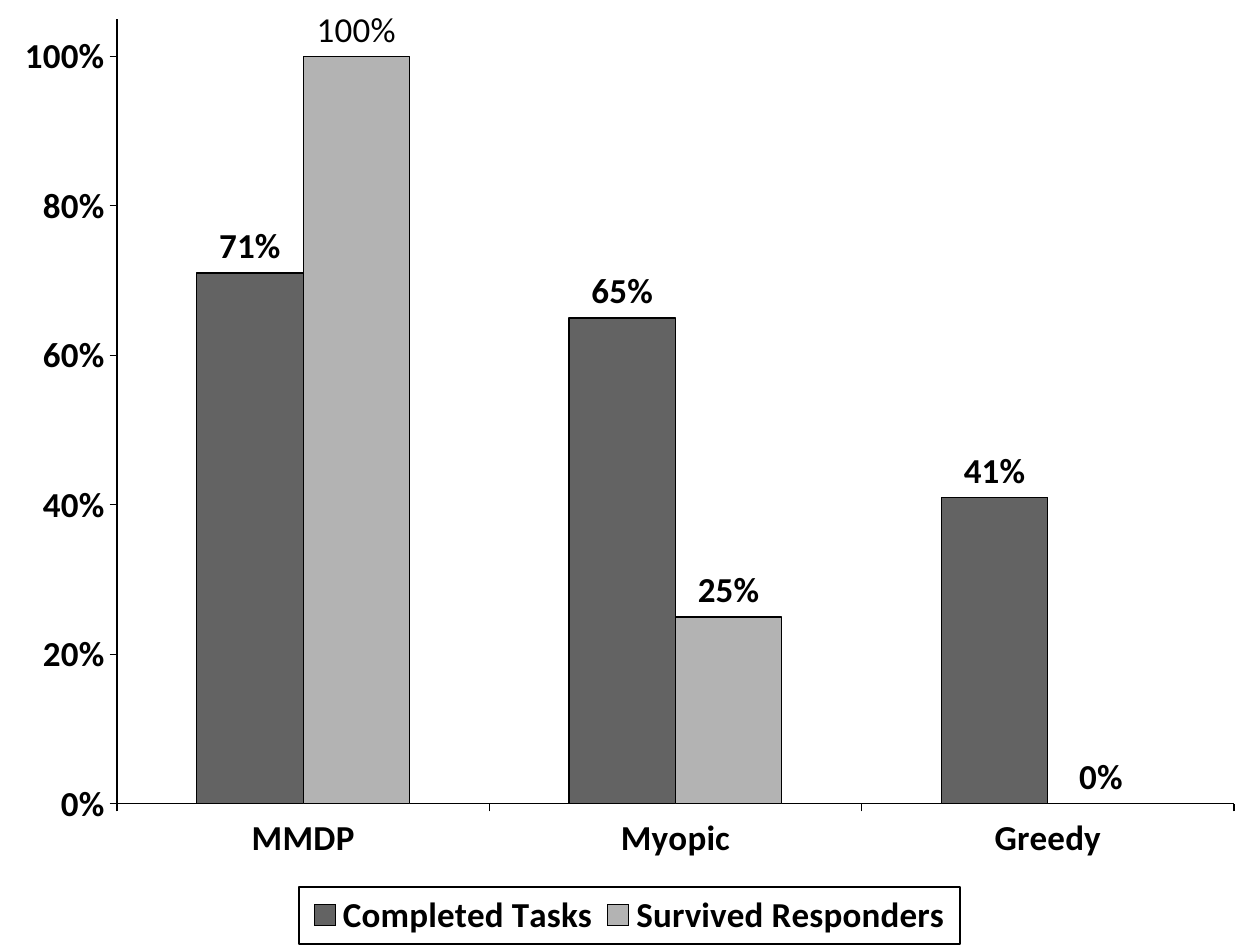
from lxml.etree import SubElement
from pptx import Presentation
from pptx.chart.data import CategoryChartData
from pptx.dml.color import RGBColor
from pptx.enum.chart import (XL_CHART_TYPE, XL_LABEL_POSITION,
                             XL_LEGEND_POSITION, XL_TICK_MARK)
from pptx.oxml.ns import qn
from pptx.util import Pt

# Content
CATEGORIES = ["MMDP", "Myopic", "Greedy"]
SERIES = [("Completed Tasks", (0.71, 0.65, 0.41)),
          ("Survived Responders", (1, 0.25, 0))]
PLAIN_LABEL = (1, 0, "100%")  # series, point, text

# Layout in pixels
PX = 914400 // 126
WIDTH, HEIGHT = 1260, 945
PLOT = (117, 19, 1117, 785)
LEGEND = (299, 887, 661, 57)

THEME = {
    "font": "Calibri", "size": Pt(20), "line_width": Pt(0.75),
    "ink": RGBColor.from_string("000000"),
    "bars": [RGBColor.from_string(c) for c in ("636363", "B3B3B3")],
}


def style_font(font, bold=True):
    font.name, font.size, font.bold = THEME["font"], THEME["size"], bold
    font.color.rgb = THEME["ink"]


def style_line(line):
    line.color.rgb, line.width = THEME["ink"], THEME["line_width"]


def place(parent, index, box, inner=False):
    """Give a chart part a fixed place, as fractions of the chart."""
    for old in parent.findall(qn("c:layout")):
        parent.remove(old)
    layout = SubElement(parent, qn("c:layout"))
    parent.insert(index, layout)
    manual = SubElement(layout, qn("c:manualLayout"))
    settings = [("layoutTarget", "inner")] if inner else []
    settings += [("xMode", "edge"), ("yMode", "edge")]
    settings += [(key, f"{value / full:.4f}") for key, value, full
                 in zip("xywh", box, (WIDTH, HEIGHT) * 2)]
    for tag, value in settings:
        SubElement(manual, qn(f"c:{tag}")).set("val", value)


prs = Presentation()
prs.slide_width, prs.slide_height = WIDTH * PX, HEIGHT * PX
s = prs.slides.add_slide(prs.slide_layouts[6])

# Chart
data = CategoryChartData(number_format="0%")
data.categories = CATEGORIES
for name, values in SERIES:
    data.add_series(name, values)
chart = s.shapes.add_chart(XL_CHART_TYPE.COLUMN_CLUSTERED, 0, 0,
                           prs.slide_width, prs.slide_height, data).chart
chart.has_title = False
style_font(chart.font)
place(chart.element.find(f".//{qn('c:plotArea')}"), 0, PLOT, inner=True)

# Axes
for axis in (chart.category_axis, chart.value_axis):
    axis.has_major_gridlines = False
    axis.major_tick_mark = XL_TICK_MARK.OUTSIDE
    axis.minor_tick_mark = XL_TICK_MARK.NONE
    style_line(axis.format.line)
    style_font(axis.tick_labels.font)
value_axis = chart.value_axis
value_axis.minimum_scale, value_axis.maximum_scale = 0, 1.05
value_axis.major_unit = 0.2
value_axis.tick_labels.number_format = "0%"
value_axis.tick_labels.number_format_is_linked = False

# Bars and value labels
plot = chart.plots[0]
plot.gap_width, plot.overlap, plot.vary_by_categories = 150, 0, False
for series, color in zip(plot.series, THEME["bars"]):
    series.format.fill.solid()
    series.format.fill.fore_color.rgb = color
    style_line(series.format.line)
    labels = series.data_labels
    labels.show_value = True
    labels.number_format, labels.number_format_is_linked = "0%", False
    labels.position = XL_LABEL_POSITION.OUTSIDE_END
    style_font(labels.font)

series_index, point_index, text = PLAIN_LABEL
label = plot.series[series_index].points[point_index].data_label
p = label.text_frame.paragraphs[0]
r = p.add_run()
r.text = text
style_font(r.font, bold=False)
label.position = XL_LABEL_POSITION.OUTSIDE_END

# Legend
chart.has_legend = True
legend = chart.legend
legend.position = XL_LEGEND_POSITION.BOTTOM
legend.include_in_layout = False
style_font(legend.font)
legend_xml = chart.element.find(f".//{qn('c:legend')}")
place(legend_xml, 1, LEGEND)
border = SubElement(legend_xml, qn("c:spPr"))
legend_xml.find(qn("c:txPr")).addprevious(border)
line = SubElement(border, qn("a:ln"), w=str(THEME["line_width"]))
fill = SubElement(line, qn("a:solidFill"))
SubElement(fill, qn("a:srgbClr"), val=str(THEME["ink"]))

prs.save("out.pptx")
